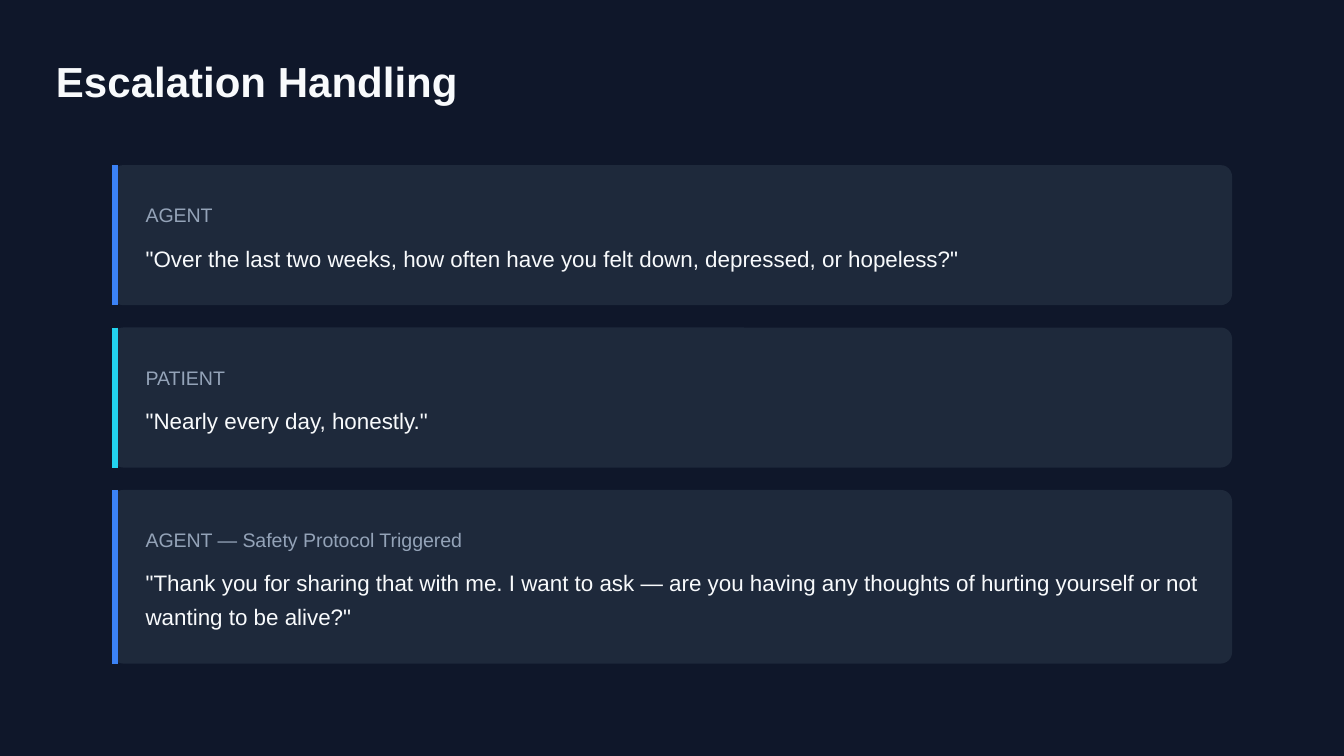
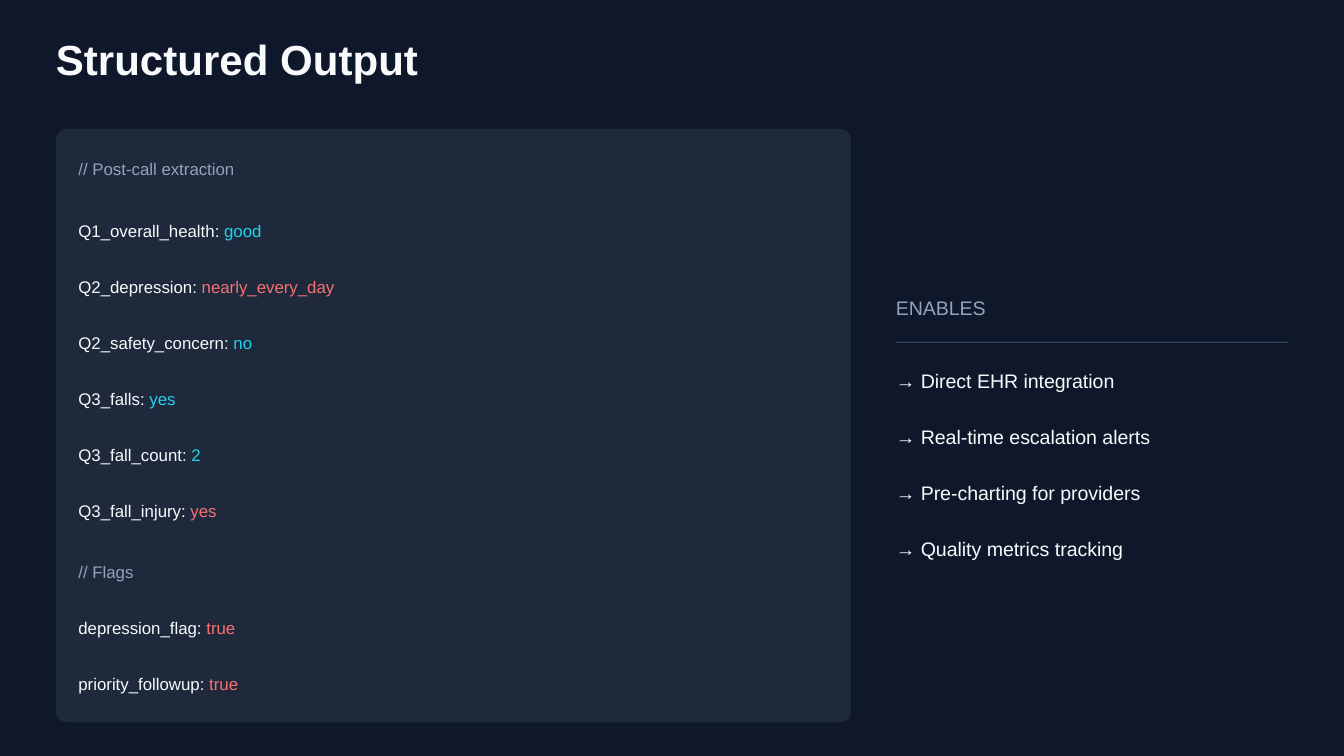
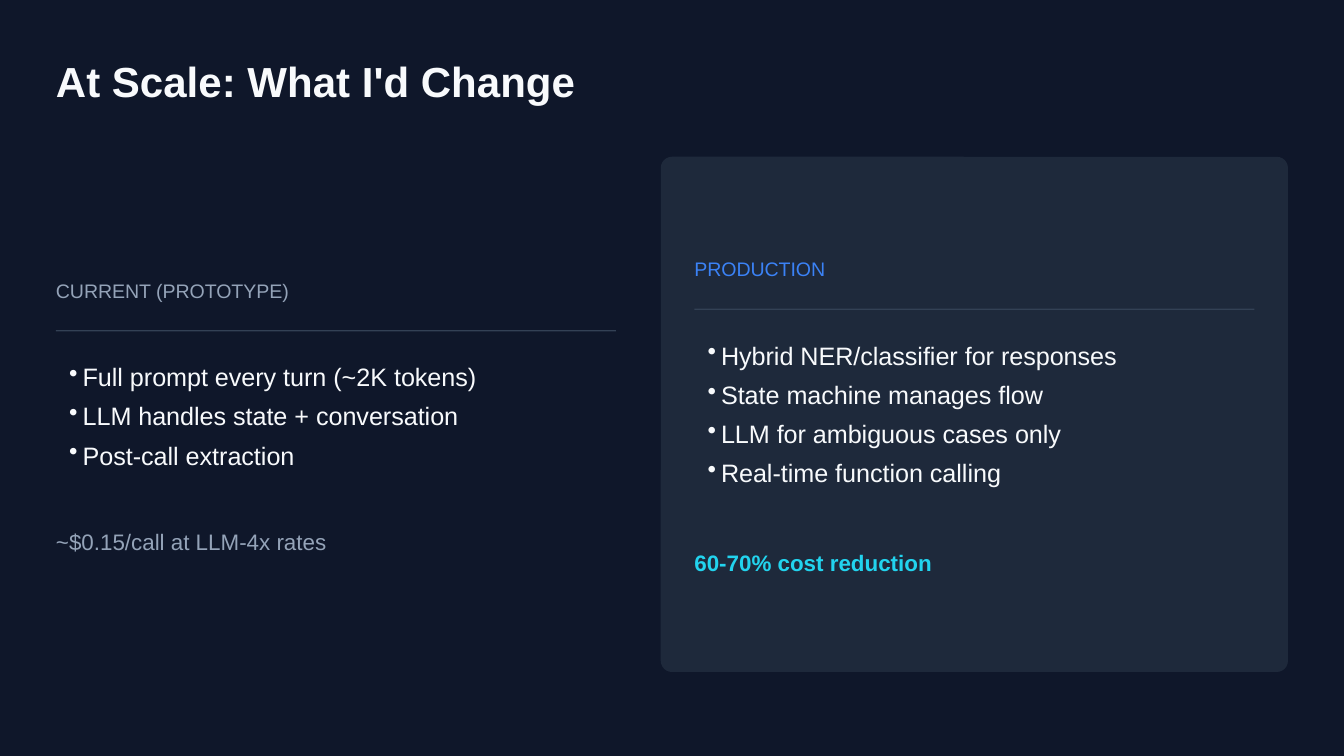
from dataclasses import dataclass

from lxml import etree
from pptx import Presentation
from pptx.dml.color import RGBColor
from pptx.enum.shapes import MSO_CONNECTOR, MSO_SHAPE
from pptx.oxml.ns import qn
from pptx.util import Inches, Pt

ROUNDED = MSO_SHAPE.ROUNDED_RECTANGLE
RECTANGLE = MSO_SHAPE.RECTANGLE
STRAIGHT = MSO_CONNECTOR.STRAIGHT

NAVY = RGBColor(0x0F, 0x17, 0x2A)
PANEL = RGBColor(0x1E, 0x29, 0x3B)
RULE = RGBColor(0x33, 0x41, 0x55)
WHITE = RGBColor(0xF8, 0xFA, 0xFC)
GRAY = RGBColor(0x94, 0xA3, 0xB8)
BLUE = RGBColor(0x3B, 0x82, 0xF6)
CYAN = RGBColor(0x22, 0xD3, 0xEE)
RED = RGBColor(0xF8, 0x71, 0x71)

FONT = "Arial"
SLIDE_WIDTH, SLIDE_HEIGHT = Inches(10), Inches(5.625)
CELL = SLIDE_WIDTH / 120  # square grid of 120 columns
CELL_POINTS = 6
TEXT_SLACK = 1.02  # text boxes are a little wider than their column
MARGIN = 5
RULE_HEIGHT = 0.12
BULLET_INDENT = Inches(0.1)


@dataclass
class Box:
    """An area measured in grid cells."""
    left: float
    top: float
    width: float
    height: float

    def emu(self):
        return [round(cells * CELL)
                for cells in (self.left, self.top, self.width, self.height)]

    def centred_top(self, content_height):
        return self.top + (self.height - content_height) / 2


@dataclass
class Style:
    size: float
    leading: float
    before: float = 3
    after: float = 3
    bold: bool = False

    def height(self, lines=1):
        return lines * self.leading / CELL_POINTS


TITLE = Style(22.5, 27, 0, 0, True)
LABEL = Style(10.5, 15)
SPEAKER = Style(10.5, 15, after=6)
QUOTE = Style(12, 18)
CODE = Style(9, 12)
CODE_LAST = Style(9, 12, after=6)
LIST = Style(13.5, 21, 0, 0)
COST = Style(12, 18, before=9)
COST_STRONG = Style(12, 18, before=9, bold=True)


# Shared parts
def add_text_box(page, box):
    frame = page.shapes.add_textbox(*box.emu()).text_frame
    frame.word_wrap = True
    frame.margin_left = frame.margin_top = 0
    frame.margin_right = frame.margin_bottom = 0
    return frame


def fill_paragraph(para, pieces, style):
    """Write (text, colour) pieces into one paragraph."""
    para.line_spacing = Pt(style.leading)
    para.space_before = Pt(style.before)
    para.space_after = Pt(style.after)
    for text, colour in pieces:
        span = para.add_run()
        span.text = text
        span.font.name = FONT
        span.font.size = Pt(style.size)
        span.font.bold = style.bold
        span.font.color.rgb = colour


def add_line_of_text(page, left, top, width, pieces, style, lines=1):
    box = Box(left, top, width * TEXT_SLACK, style.height(lines))
    fill_paragraph(add_text_box(page, box).paragraphs[0], pieces, style)


def add_block(page, kind, box, colour):
    block = page.shapes.add_shape(kind, *box.emu())
    block.shadow.inherit = False
    block.fill.solid()
    block.fill.fore_color.rgb = colour
    block.line.fill.background()
    return block


def add_panel(page, box):
    panel = add_block(page, ROUNDED, box, PANEL)
    panel.adjustments[0] = 1 / min(box.width, box.height)  # radius of one cell


def add_accent(page, box, colour):
    left, top, _, height = box.emu()
    middle = left + round(CELL / 4)
    accent = page.shapes.add_connector(STRAIGHT, middle, top, middle, top + height)
    accent.line.color.rgb = colour
    accent.line.width = Pt(3)
    etree.SubElement(accent._element.spPr, qn("a:effectLst"))


def add_bullets(page, box, items):
    frame = add_text_box(page, box)
    frame.margin_left = BULLET_INDENT
    for index, item in enumerate(items):
        para = frame.add_paragraph() if index else frame.paragraphs[0]
        fill_paragraph(para, [(item, WHITE)], LIST)
        properties = para._p.get_or_add_pPr()
        properties.set("marL", str(BULLET_INDENT))
        properties.set("indent", str(-BULLET_INDENT))
        etree.SubElement(properties, qn("a:buChar"), char="•")


def add_page(deck, title, title_top=5):
    page = deck.slides.add_slide(deck.slide_layouts[6])
    page.background.fill.solid()
    page.background.fill.fore_color.rgb = NAVY
    add_line_of_text(page, MARGIN, title_top, 57.6, [(title, WHITE)], TITLE)
    return page


# Escalation dialogue
def add_message(page, box, accent, speaker, quote, lines):
    add_panel(page, box)
    add_accent(page, box, accent)
    left, top, width = box.left + 3, box.top + 3, box.width - 5.5
    add_line_of_text(page, left, top, width, [(speaker, GRAY)], SPEAKER)
    add_line_of_text(page, left, top + 3.5, width, [(quote, WHITE)], QUOTE, lines)


def build_escalation(deck):
    page = add_page(deck, "Escalation Handling")
    messages = [
        (BLUE, "AGENT", '"Over the last two weeks, how often have you felt down, '
         'depressed, or hopeless?"', 1),
        (CYAN, "PATIENT", '"Nearly every day, honestly."', 1),
        (BLUE, "AGENT — Safety Protocol Triggered",
         '"Thank you for sharing that with me. I want to ask — are you having any '
         'thoughts of hurting yourself or not wanting to be alive?"', 2),
    ]
    top = 14.75
    for accent, speaker, quote, lines in messages:
        box = Box(10, top, 100, 9.5 + QUOTE.height(lines))
        add_message(page, box, accent, speaker, quote, lines)
        top += box.height + 2


# Extracted fields and their uses
def add_extraction(page, box):
    add_panel(page, box)
    rows = [
        ([("// Post-call extraction", GRAY)], CODE_LAST),
        ([("Q1_overall_health: ", WHITE), ("good", CYAN)], CODE),
        ([("Q2_depression: ", WHITE), ("nearly_every_day", RED)], CODE),
        ([("Q2_safety_concern: ", WHITE), ("no", CYAN)], CODE),
        ([("Q3_falls: ", WHITE), ("yes", CYAN)], CODE),
        ([("Q3_fall_count: ", WHITE), ("2", CYAN)], CODE),
        ([("Q3_fall_injury: ", WHITE), ("yes", RED)], CODE_LAST),
        ([("// Flags", GRAY)], CODE),
        ([("depression_flag: ", WHITE), ("true", RED)], CODE),
        ([("priority_followup: ", WHITE), ("true", RED)], CODE),
    ]
    top = box.top + 2.5
    for pieces, style in rows:
        add_line_of_text(page, box.left + 2, top, box.width - 4, pieces, style)
        top += 4.5 + style.after / CELL_POINTS


def add_uses(page, box):
    uses = ["Direct EHR integration", "Real-time escalation alerts",
            "Pre-charting for providers", "Quality metrics tracking"]
    step = 5
    top = box.centred_top(4 + step * len(uses))
    add_line_of_text(page, box.left, top, box.width, [("ENABLES", GRAY)], LABEL)
    add_block(page, RECTANGLE,
              Box(box.left, top + 4.5, box.width, RULE_HEIGHT), RULE)
    for index, use in enumerate(uses):
        add_line_of_text(page, box.left, top + 6.5 + index * step, box.width,
                         [(f"→ {use}", WHITE)], LABEL)


def build_structured_output(deck):
    page = add_page(deck, "Structured Output", title_top=3)
    add_extraction(page, Box(MARGIN, 11.5, 71, 53))
    add_uses(page, Box(80, 11.5, 35, 53))


# Prototype against production
def add_approach(page, box, label, label_colour, items, cost, cost_colour, cost_style):
    list_height = 3.85 * len(items)
    top = box.centred_top(list_height + 13.5)
    add_line_of_text(page, box.left, top, box.width, [(label, label_colour)], LABEL)
    add_block(page, RECTANGLE, Box(box.left, top + 5, box.width, RULE_HEIGHT), RULE)
    add_bullets(page, Box(box.left, top + 7, box.width, list_height), items)
    add_line_of_text(page, box.left, top + list_height + 10.5, box.width,
                     [(cost, cost_colour)], cost_style)


def build_scale(deck):
    page = add_page(deck, "At Scale: What I'd Change")
    add_approach(
        page, Box(MARGIN, 14, 50, 46), "CURRENT (PROTOTYPE)", GRAY,
        ["Full prompt every turn (~2K tokens)", "LLM handles state + conversation",
         "Post-call extraction"],
        "~$0.15/call at LLM-4x rates", GRAY, COST)
    add_panel(page, Box(59, 14, 56, 46))
    add_approach(
        page, Box(62, 14, 50, 46), "PRODUCTION", BLUE,
        ["Hybrid NER/classifier for responses", "State machine manages flow",
         "LLM for ambiguous cases only", "Real-time function calling"],
        "60-70% cost reduction", CYAN, COST_STRONG)


def main():
    deck = Presentation()
    deck.slide_width, deck.slide_height = SLIDE_WIDTH, SLIDE_HEIGHT
    build_escalation(deck)
    build_structured_output(deck)
    build_scale(deck)
    deck.save("out.pptx")


if __name__ == "__main__":
    main()
